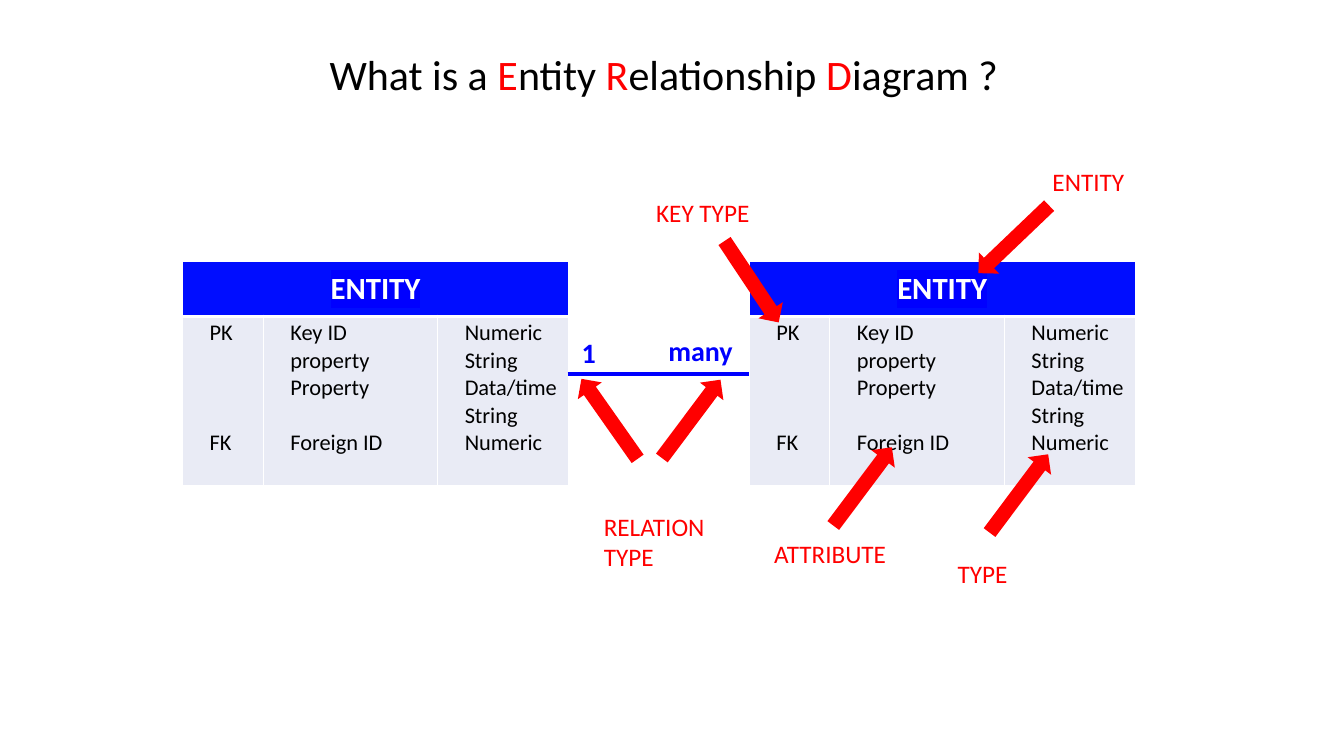
from dataclasses import dataclass

from lxml import etree
from pptx import Presentation
from pptx.dml.color import RGBColor
from pptx.enum.shapes import MSO_CONNECTOR, MSO_SHAPE
from pptx.enum.text import MSO_ANCHOR, MSO_AUTO_SIZE, PP_ALIGN
from pptx.oxml.ns import qn
from pptx.util import Inches, Pt

DOWN_ARROW = MSO_SHAPE.DOWN_ARROW
STRAIGHT = MSO_CONNECTOR.STRAIGHT
FIT_SHAPE = MSO_AUTO_SIZE.SHAPE_TO_FIT_TEXT
MIDDLE, TOP = MSO_ANCHOR.MIDDLE, MSO_ANCHOR.TOP
CENTER, LEFT = PP_ALIGN.CENTER, PP_ALIGN.LEFT


@dataclass(frozen=True)
class Theme:
    """Colours, font and type sizes of the slide."""
    font: str = "Calibri"
    black: str = "000000"
    white: str = "FFFFFF"
    red: str = "FF0000"
    blue: str = "0000FF"
    header: str = "000DFF"
    body: str = "E9EBF5"
    title_pt: int = 30
    header_pt: int = 22
    relation_pt: int = 20
    label_pt: int = 18
    body_pt: int = 16
    body_line_pt: float = 19.5


T = Theme()
COLUMN_WIDTHS = (0.8, 1.73, 1.3)
ROW_HEIGHTS = (0.55, 1.68)
# Each column lists (line of the row, text).
COLUMNS = (
    ((0, "PK"), (4, "FK")),
    ((0, "Key ID"), (1, "property"), (2, "Property"), (4, "Foreign ID")),
    tuple(enumerate(("Numeric", "String", "Data/time", "String", "Numeric"))),
)
TABLE_TOP = 2.59
TABLE_LEFTS = (1.81, 7.43)
ARROW_SIZE = (0.29, 0.97)
ARROWS = (  # left, top, rotation
    (9.91, 1.89, 46.3),
    (7.31, 2.31, 326.4),
    (8.41, 4.34, 216.8),
    (9.96, 4.41, 216.8),
    (6.71, 3.67, 216.8),
    (5.9, 3.67, 144.9),
)
LABELS = (  # text, left, top, width
    ("ENTITY", 10.34, 1.6, 0.92),
    ("ATTRIBUTE", 7.58, 5.29, 1.32),
    ("TYPE", 9.4, 5.49, 0.7),
    ("KEY TYPE", 6.41, 1.91, 1.13),
)


def rgb(color):
    """Turn a hex colour into an RGBColor."""
    return RGBColor.from_string(color)


def write(p, text, *, size, color, bold=False, highlight=None):
    """Add a formatted run to a paragraph."""
    r = p.add_run()
    r.text = text
    r.font.name, r.font.size, r.font.bold = T.font, Pt(size), bold
    r.font.color.rgb = rgb(color)
    if highlight:
        mark = etree.Element(qn("a:highlight"))
        etree.SubElement(mark, qn("a:srgbClr"), val=highlight)
        r.font._element.find(qn("a:solidFill")).addnext(mark)


def add_text(s, paragraphs, left, top, width, height, *, size, bold=False, wrap=False):
    """Add a text box; each paragraph is a list of (text, colour) runs."""
    box = s.shapes.add_textbox(*map(Inches, (left, top, width, height)))
    tf = box.text_frame
    tf.word_wrap, tf.auto_size = wrap, FIT_SHAPE
    for i, runs in enumerate(paragraphs):
        p = tf.add_paragraph() if i else tf.paragraphs[0]
        for text, color in runs:
            write(p, text, size=size, color=color, bold=bold)


def set_borders(cell, top, bottom):
    """Give a cell white borders, with top and bottom widths in points."""
    tc_pr = cell._tc.get_or_add_tcPr()
    edges = (("L", 1), ("R", 1), ("T", top), ("B", bottom))
    for i, (side, width) in enumerate(edges):
        ln = etree.Element(qn(f"a:ln{side}"), w=str(Pt(width)))
        fill = etree.SubElement(ln, qn("a:solidFill"))
        etree.SubElement(fill, qn("a:srgbClr"), val=T.white)
        tc_pr.insert(i, ln)


def style_cell(cell, color, *, inset, anchor, top=1, bottom=1):
    """Set the fill, margins, anchor and borders of a cell."""
    cell.fill.solid()
    cell.fill.fore_color.rgb = rgb(color)
    cell.margin_left, cell.margin_right = Inches(inset), Inches(0.07)
    cell.margin_top = cell.margin_bottom = Inches(0.03)
    cell.vertical_anchor = anchor
    set_borders(cell, top, bottom)


def fill_column(cell, entries):
    """Write body entries, spacing each one down to its line."""
    tf = cell.text_frame
    next_line = 0
    for i, (line, text) in enumerate(entries):
        p = tf.add_paragraph() if i else tf.paragraphs[0]
        p.alignment = LEFT
        p.space_before = Pt((line - next_line) * T.body_line_pt)
        write(p, text, size=T.body_pt, color=T.black)
        next_line = line + 1


def add_entity(s, left):
    """Add one entity table."""
    size = (sum(COLUMN_WIDTHS), sum(ROW_HEIGHTS))
    table = s.shapes.add_table(
        2, len(COLUMNS), *map(Inches, (left, TABLE_TOP, *size))).table
    table.first_row = table.horz_banding = False
    for column, width in zip(table.columns, COLUMN_WIDTHS):
        column.width = Inches(width)
    for row, height in zip(table.rows, ROW_HEIGHTS):
        row.height = Inches(height)
    for i, entries in enumerate(COLUMNS):
        style_cell(table.cell(0, i), T.header, inset=0.07, anchor=MIDDLE, bottom=3)
        style_cell(table.cell(1, i), T.body, inset=0.27, anchor=TOP, top=3)
        fill_column(table.cell(1, i), entries)
    header = table.cell(0, 0)
    header.merge(table.cell(0, len(COLUMNS) - 1))
    p = header.text_frame.paragraphs[0]
    p.alignment = CENTER
    write(p, "ENTITY", size=T.header_pt, color=T.white, bold=True, highlight=T.blue)


def add_line(s, x1, x2, y):
    """Add the horizontal relation line."""
    line = s.shapes.add_connector(STRAIGHT, *map(Inches, (x1, y, x2, y)))
    line.line.color.rgb = rgb(T.blue)
    line.line.width = Pt(2.25)
    etree.SubElement(line._element.spPr, qn("a:effectLst"))


def add_arrow(s, left, top, rotation):
    """Add a red block arrow turned to its target."""
    sp = s.shapes.add_shape(DOWN_ARROW, *map(Inches, (left, top, *ARROW_SIZE)))
    sp.rotation = rotation
    sp.shadow.inherit = False
    sp.fill.solid()
    sp.fill.fore_color.rgb = rgb(T.red)
    sp.line.fill.background()


def main():
    """Build the slide and save it."""
    prs = Presentation()
    prs.slide_width, prs.slide_height = Inches(13.33), Inches(7.5)
    s = prs.slides.add_slide(prs.slide_layouts[6])

    add_entity(s, TABLE_LEFTS[0])
    add_line(s, 5.63, TABLE_LEFTS[1], 3.71)
    for text, left, top, width in (("many", 6.53, 3.26, 0.9), ("1", 5.67, 3.28, 0.42)):
        add_text(s, [[(text, T.blue)]], left, top, width, 0.44,
                 size=T.relation_pt, bold=True, wrap=True)
    add_entity(s, TABLE_LEFTS[1])

    title = [("What is a ", T.black), ("E", T.red), ("ntity ", T.black),
             ("R", T.red), ("elationship ", T.black),
             ("D", T.red), ("iagram ?", T.black)]
    add_text(s, [title], 3.17, 0.43, 6.89, 0.61, size=T.title_pt)
    for arrow in ARROWS:
        add_arrow(s, *arrow)
    for text, left, top, width in LABELS:
        add_text(s, [[(text, T.red)]], left, top, width, 0.4, size=T.label_pt)
    add_text(s, [[("RELATION", T.red)], [("TYPE", T.red)]], 5.89, 5.02, 1.27, 0.71,
             size=T.label_pt, wrap=True)
    prs.save("out.pptx")


main()
